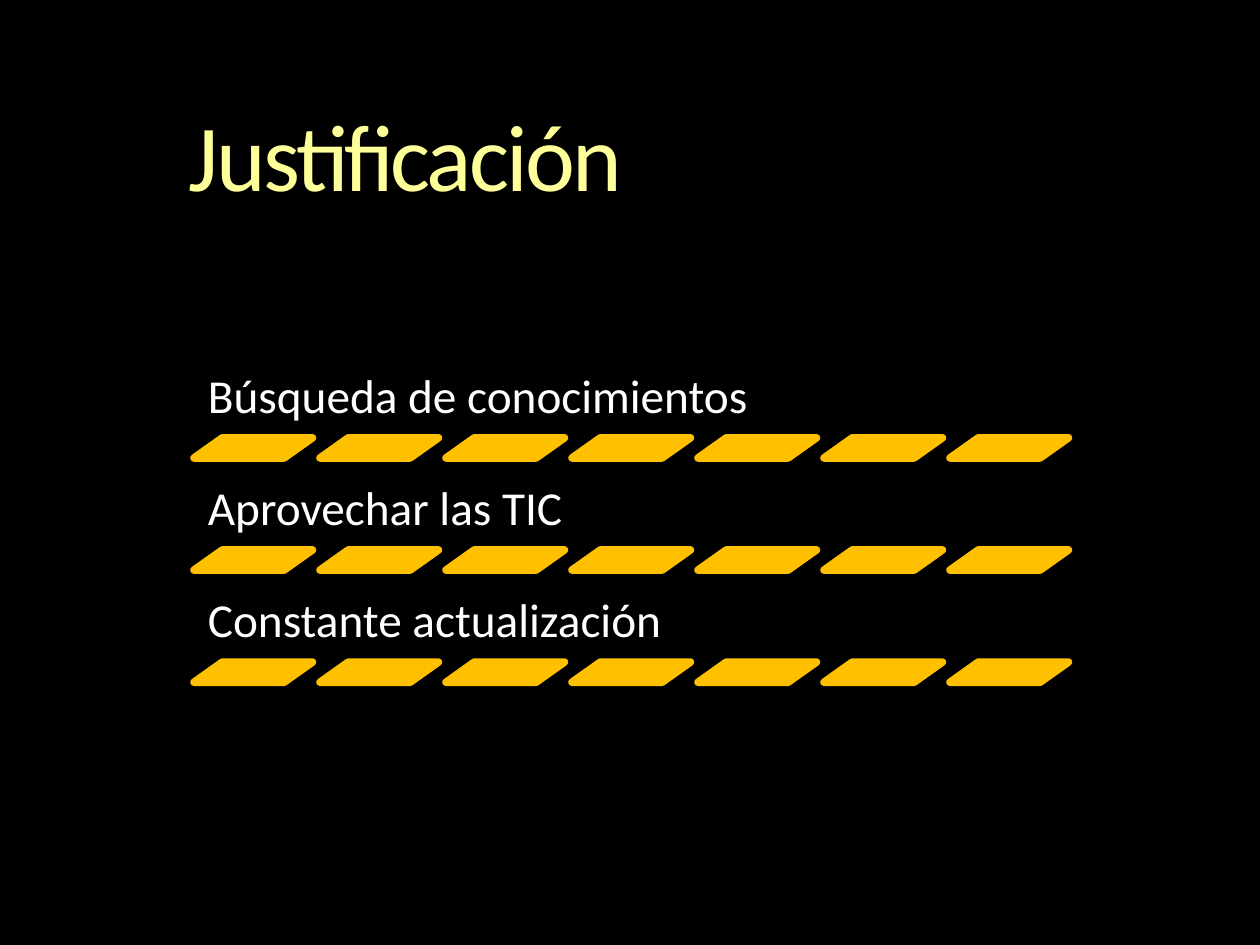
from dataclasses import dataclass

from lxml.etree import SubElement
from pptx import Presentation
from pptx.dml.color import RGBColor
from pptx.enum.shapes import MSO_SHAPE as Shape
from pptx.enum.text import MSO_ANCHOR as Anchor
from pptx.oxml.ns import qn
from pptx.util import Inches, Pt


@dataclass(frozen=True)
class Theme:
    """Colours and type sizes of the slide."""
    background: RGBColor = RGBColor(0, 0, 0)
    title: RGBColor = RGBColor(0xFF, 0xFF, 0x99)
    body: RGBColor = RGBColor(0xFF, 0xFF, 0xFF)
    stripe: RGBColor = RGBColor(0xFF, 0xC0, 0)
    font: str = "Calibri"
    title_size: float = 54
    body_size: float = 27
    stripe_line: float = 4.33


THEME = Theme()
REASONS = ("Búsqueda de conocimientos", "Aprovechar las TIC", "Constante actualización")
LEFT, FIRST_TOP, ROW_STEP = 1.54, 2.83, 0.89
STRIPE_COUNT, STRIPE_STEP, STRIPE_DROP = 7, 1, 0.645


def apply_format(target, values):
    """Set each attribute of the target from a dict."""
    for name, value in values.items():
        setattr(target, name, value)


def add_text(slide, text, box, size, color, anchor, inset):
    """Add a one-paragraph text box and return its run."""
    frame = slide.shapes.add_textbox(*map(Inches, box)).text_frame
    margins = {f"margin_{side}": Inches(inset) for side in ("left", "top", "right", "bottom")}
    apply_format(frame, {"word_wrap": True, "vertical_anchor": anchor, **margins})
    paragraph = frame.paragraphs[0]
    paragraph.line_spacing = 0.9
    run = paragraph.add_run()
    run.text = text
    apply_format(run.font, {"name": THEME.font, "size": Pt(size)})
    run.font.color.rgb = color
    return run


def add_title(slide, text):
    """Add the title with tightened letter spacing."""
    run = add_text(slide, text, (1.5, 0.44, 7.7, 1.67), THEME.title_size, THEME.title, Anchor.MIDDLE, 0)
    run.font._element.set("spc", "-150")


def add_stripe(slide, left, top):
    """Add one slanted stripe with rounded corners."""
    shape = slide.shapes.add_shape(Shape.PARALLELOGRAM, *map(Inches, (left, top, 0.94, 0.16)))
    shape.adjustments[0] = 1.408
    shape.shadow.inherit = False
    for fill in (shape.fill, shape.line.fill):
        fill.solid()
        fill.fore_color.rgb = THEME.stripe
    shape.line.width = Pt(THEME.stripe_line)
    SubElement(shape._element.spPr.find(qn("a:ln")), qn("a:round"))


def add_reason(slide, text, top):
    """Add a reason underlined by a row of stripes."""
    add_text(slide, text, (LEFT, top, 7.09, 0.64), THEME.body_size, THEME.body, Anchor.BOTTOM, 0.11)
    for column in range(STRIPE_COUNT):
        add_stripe(slide, LEFT + column * STRIPE_STEP, top + STRIPE_DROP)


def main():
    """Build and save the slide."""
    presentation = Presentation()
    apply_format(presentation, {"slide_width": Inches(10), "slide_height": Inches(7.5)})
    slide = presentation.slides.add_slide(presentation.slide_layouts[6])
    slide.background.fill.solid()
    slide.background.fill.fore_color.rgb = THEME.background
    add_title(slide, "Justificación")
    for row, reason in enumerate(REASONS):
        add_reason(slide, reason, FIRST_TOP + row * ROW_STEP)
    presentation.save("out.pptx")


if __name__ == "__main__":
    main()
